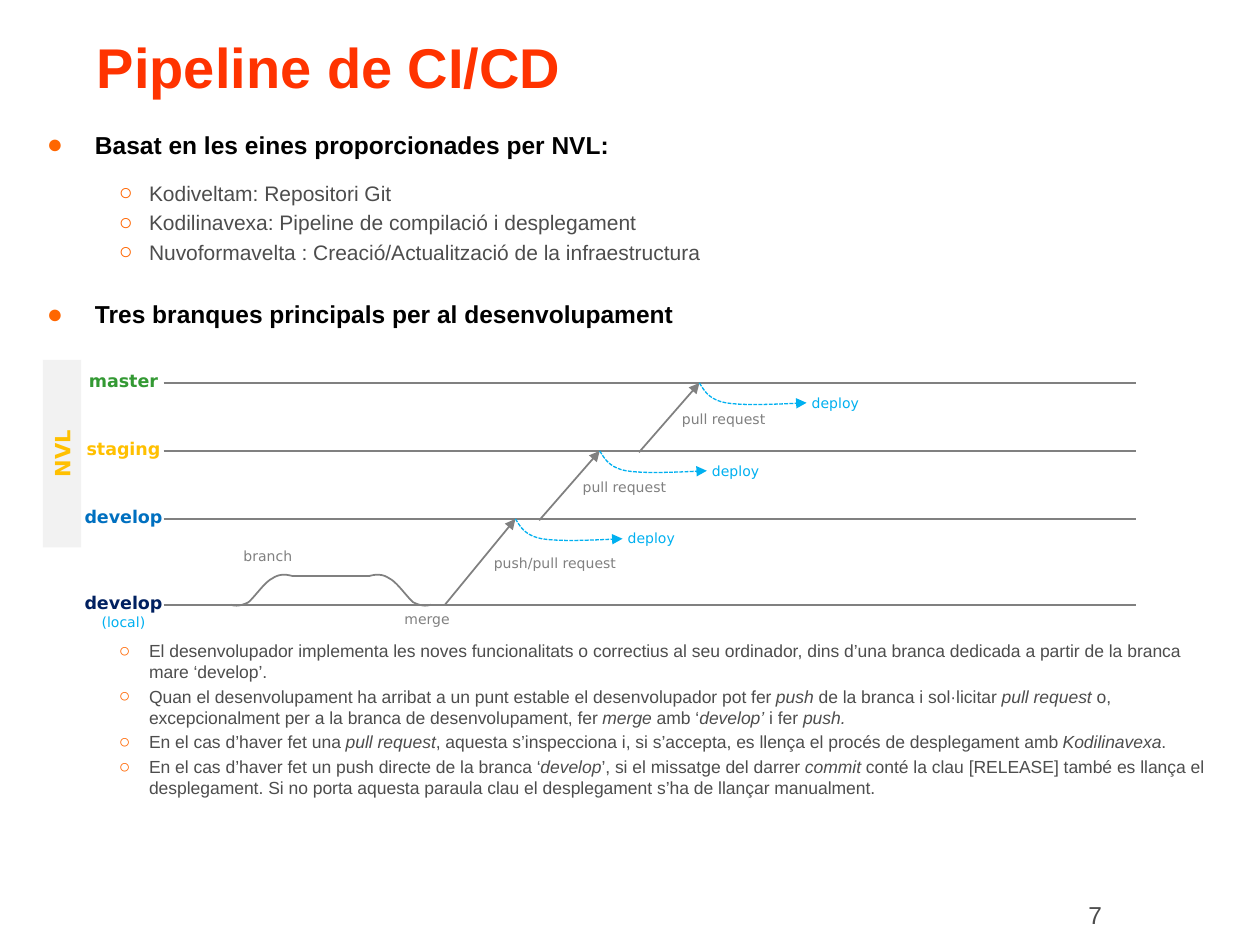
from lxml import etree
from pptx import Presentation
from pptx.dml.color import RGBColor
from pptx.enum.dml import MSO_LINE
from pptx.enum.shapes import MSO_CONNECTOR, MSO_SHAPE
from pptx.enum.text import MSO_ANCHOR, MSO_AUTO_SIZE, PP_ALIGN
from pptx.oxml.ns import qn
from pptx.util import Cm, Pt

STRAIGHT = MSO_CONNECTOR.STRAIGHT
RECTANGLE = MSO_SHAPE.RECTANGLE
SYS_DASH = MSO_LINE.SQUARE_DOT
MIDDLE = MSO_ANCHOR.MIDDLE
NO_AUTOFIT = MSO_AUTO_SIZE.NONE
LEFT, CENTER = PP_ALIGN.LEFT, PP_ALIGN.CENTER

RED = RGBColor(0xFF, 0x33, 0x00)
ORANGE = RGBColor(0xFF, 0x66, 0x00)
BLACK = RGBColor(0, 0, 0)
DARK_GRAY = RGBColor(0x4D, 0x4D, 0x4D)
GRAY = RGBColor(0x80, 0x80, 0x80)
PALE_GRAY = RGBColor(0xF2, 0xF2, 0xF2)
GREEN = RGBColor(0x33, 0x99, 0x33)
YELLOW = RGBColor(0xFF, 0xC0, 0x00)
BLUE = RGBColor(0x00, 0x70, 0xC0)
NAVY = RGBColor(0x00, 0x20, 0x60)
CYAN = RGBColor(0x00, 0xB0, 0xF0)

BODY_FONT, DIAGRAM_FONT = "Arial", "DejaVu Sans"
PROVIDER = "NVL"
REPOSITORY_SERVICE = "Kodiveltam"
PIPELINE_SERVICE = "Kodilinavexa"
TEMPLATE_SERVICE = "Nuvoformavelta"

# Level, size, space before (points), text with *italic* parts
OUTLINE = [
    (0, 14, 2.3, f"Basat en les eines proporcionades per {PROVIDER}:"),
    (1, 12, 12, f"{REPOSITORY_SERVICE}: Repositori Git"),
    (1, 12, 2.4, f"{PIPELINE_SERVICE}: Pipeline de compilació i desplegament"),
    (1, 12, 2.4, f"{TEMPLATE_SERVICE} : Creació/Actualització de la infraestructura"),
    (0, 14, 20, "Tres branques principals per al desenvolupament"),
    (1, 10, 178, "El desenvolupador implementa les noves funcionalitats o correctius al seu "
     "ordinador, dins d’una branca dedicada a partir de la branca mare ‘develop’."),
    (1, 10, 2, "Quan el desenvolupament ha arribat a un punt estable el desenvolupador pot "
     "fer *push* de la branca i sol·licitar *pull request* o, excepcionalment per a la branca "
     "de desenvolupament, fer *merge* amb ‘*develop’* i fer *push.*"),
    (1, 10, 2, "En el cas d’haver fet una* pull request*, aquesta s’inspecciona i, si "
     f"s’accepta, es llença el procés de desplegament amb *{PIPELINE_SERVICE}*."),
    (1, 10, 2, "En el cas d’haver fet un push directe de la branca ‘*develop*’, si el "
     "missatge del darrer *commit* conté la clau [RELEASE] també es llança el desplegament. "
     "Si no porta aquesta paraula clau el desplegament s’ha de llançar manualment."),
]
# Bullet, colour, bold, left margin, first-line indent
LEVELS = [("●", BLACK, True, Cm(0.97), Cm(-0.97)),
          ("○", DARK_GRAY, False, Cm(2.06), Cm(-0.61))]

# Diagram coordinates are in centimetres
LANE_LEFT, LANE_RIGHT, LANE_LABEL_X = 3.3, 22.91, 2.49
LOCAL_Y = 12.19
LANES = [("master", 7.72, GREEN), ("staging", 9.09, YELLOW),
         ("develop", 10.46, BLUE), ("develop", LOCAL_Y, NAVY)]
PROMOTIONS = [((8.97, LOCAL_Y), (10.39, 10.46)),
              ((10.87, 10.49), (12.09, 9.09)),
              ((12.88, 9.12), (14.1, 7.72))]
CAPTIONS = [("push/pull request", 11.19, 11.05), ("pull request", 12.59, 9.53),
            ("pull request", 14.59, 8.15), ("branch", 5.4, 10.92), ("merge", 8.61, 12.19)]
# Bezier pieces relative to the start point: two controls and an end each
DEPLOY_CURVE = [((0.1, 0.15), (0.18, 0.33), (0.53, 0.4)),
                ((0.89, 0.46), (1.52, 0.43), (2.16, 0.4))]
BRANCH_CURVE = [((0.1, 0.03), (0.2, 0.03), (0.36, -0.05)),
                ((0.48, -0.15), (0.69, -0.46), (0.84, -0.53)),
                ((0.99, -0.63), (1.12, -0.61), (1.24, -0.58))]
BRANCH_START, BRANCH_END = 4.65, 8.69
CURVE_STEPS = 10


def place(shape, left, top, width, height):
    shape.left, shape.top = Cm(left), Cm(top)
    shape.width, shape.height = Cm(width), Cm(height)


def style_run(run, size, color, bold=False, font=BODY_FONT):
    run.font.name, run.font.size, run.font.bold = font, Pt(size), bold
    run.font.color.rgb = color


def style_line(shape, color, width, arrow=False):
    shape.line.color.rgb, shape.line.width = color, Pt(width)
    if arrow:
        outline = shape._element.spPr.find(qn("a:ln"))
        etree.SubElement(outline, qn("a:tailEnd"), type="triangle")


def add_bullet(paragraph, char, margin, indent):
    properties = paragraph._p.get_or_add_pPr()
    properties.set("marL", str(margin))
    properties.set("indent", str(indent))
    color = etree.SubElement(properties, qn("a:buClr"))
    etree.SubElement(color, qn("a:srgbClr"), val=str(ORANGE))
    etree.SubElement(properties, qn("a:buSzPct"), val="110000")
    etree.SubElement(properties, qn("a:buChar"), char=char)


def fill_title(title):
    place(title, 1.7, 0.33, 22.6, 2)
    frame = title.text_frame
    frame.text = "Pipeline de CI/CD"
    frame.vertical_anchor = MIDDLE
    frame.auto_size = NO_AUTOFIT
    frame.paragraphs[0].alignment = LEFT
    style_run(frame.paragraphs[0].runs[0], 32, RED, bold=True)


def fill_outline(body):
    place(body, 0.69, 2.49, 24, 14.3)
    frame = body.text_frame
    frame.auto_size = NO_AUTOFIT
    for index, (level, size, space, text) in enumerate(OUTLINE):
        paragraph = frame.add_paragraph() if index else frame.paragraphs[0]
        bullet, color, bold, margin, indent = LEVELS[level]
        paragraph.level = level
        paragraph.space_before = Pt(space)
        add_bullet(paragraph, bullet, margin, indent)
        for part_index, part in enumerate(text.split("*")):
            if part:
                run = paragraph.add_run()
                run.text = part
                style_run(run, size, color, bold)
                run.font.italic = part_index % 2 == 1


def add_label(slide, text, center_x, top, size, color, bold=False):
    """Adds one unwrapped line of diagram text centred on center_x."""
    width = 3
    label = slide.shapes.add_textbox(Cm(center_x - width / 2), Cm(top), Cm(width), Cm(0.65))
    label.text_frame.text = text
    label.text_frame.word_wrap = False
    paragraph = label.text_frame.paragraphs[0]
    paragraph.alignment = CENTER
    style_run(paragraph.runs[0], size, color, bold, DIAGRAM_FONT)
    return label


def add_line(slide, start, end, arrow=False):
    line = slide.shapes.add_connector(STRAIGHT, *map(Cm, start + end))
    etree.SubElement(line._element.spPr, qn("a:effectLst"))
    style_line(line, GRAY, 1, arrow)


def add_curve(slide, start, pieces, mirror=1):
    """Draws Bezier pieces from start; mirror=-1 flips them left to right."""
    points, origin = [], (0, 0)
    for piece in pieces:
        a, b, c, d = origin, *piece
        for step in range(1, CURVE_STEPS + 1):
            t = step / CURVE_STEPS
            u = 1 - t
            x, y = (u**3 * a[i] + 3 * u * u * t * b[i] + 3 * u * t * t * c[i] + t**3 * d[i]
                    for i in (0, 1))
            points.append((Cm(start[0] + mirror * x), Cm(start[1] + y)))
        origin = d
    builder = slide.shapes.build_freeform(Cm(start[0]), Cm(start[1]))
    builder.add_line_segments(points, close=False)
    curve = builder.convert_to_shape()
    curve.shadow.inherit = False
    curve.fill.background()
    return curve


def add_lanes(slide):
    for name, y, color in LANES:
        add_line(slide, (LANE_LEFT, y), (LANE_RIGHT, y))
        label = add_label(slide, name, LANE_LABEL_X, y - 0.38, 10, color, bold=True)
    place_note = label.text_frame.add_paragraph()
    place_note.text = "(local)"
    place_note.alignment = CENTER
    style_run(place_note.runs[0], 8, CYAN, font=DIAGRAM_FONT)


def add_feature_branch(slide):
    rise_x, rise_y = BRANCH_CURVE[-1][-1]
    top = LOCAL_Y + rise_y
    for x, mirror in ((BRANCH_START, 1), (BRANCH_END, -1)):
        style_line(add_curve(slide, (x, LOCAL_Y), BRANCH_CURVE, mirror), GRAY, 1)
    add_line(slide, (BRANCH_START + rise_x, top), (BRANCH_END - rise_x, top))


def add_promotion(slide, start, end):
    add_line(slide, start, end, arrow=True)
    curve = add_curve(slide, end, DEPLOY_CURVE)
    curve.line.dash_style = SYS_DASH
    style_line(curve, CYAN, 0.75, arrow=True)
    add_label(slide, "deploy", end[0] + 2.74, end[1] + 0.1, 8, CYAN)


def add_provider_band(slide):
    band = slide.shapes.add_shape(RECTANGLE, Cm(-0.64), Cm(8.76), Cm(3.78), Cm(0.77))
    band.rotation = 270
    band.shadow.inherit = False
    band.fill.solid()
    band.fill.fore_color.rgb = PALE_GRAY
    band.line.fill.background()
    band.text_frame.text = PROVIDER
    paragraph = band.text_frame.paragraphs[0]
    paragraph.alignment = CENTER
    style_run(paragraph.runs[0], 12, YELLOW, True, DIAGRAM_FONT)


def add_page_number(slide):
    number = slide.shapes.add_textbox(Cm(21.69), Cm(18.01), Cm(2.21), Cm(1.32))
    number.text_frame.text = "7"
    style_run(number.text_frame.paragraphs[0].runs[0], 14, DARK_GRAY)


def main():
    deck = Presentation()
    deck.slide_width, deck.slide_height = Cm(25.4), Cm(19.05)
    slide = deck.slides.add_slide(deck.slide_layouts[1])
    fill_title(slide.shapes.title)
    fill_outline(slide.placeholders[1])
    add_page_number(slide)
    add_lanes(slide)
    add_feature_branch(slide)
    for start, end in PROMOTIONS:
        add_promotion(slide, start, end)
    for text, center_x, top in CAPTIONS:
        add_label(slide, text, center_x, top, 8, GRAY)
    add_provider_band(slide)
    deck.save("out.pptx")


if __name__ == "__main__":
    main()
